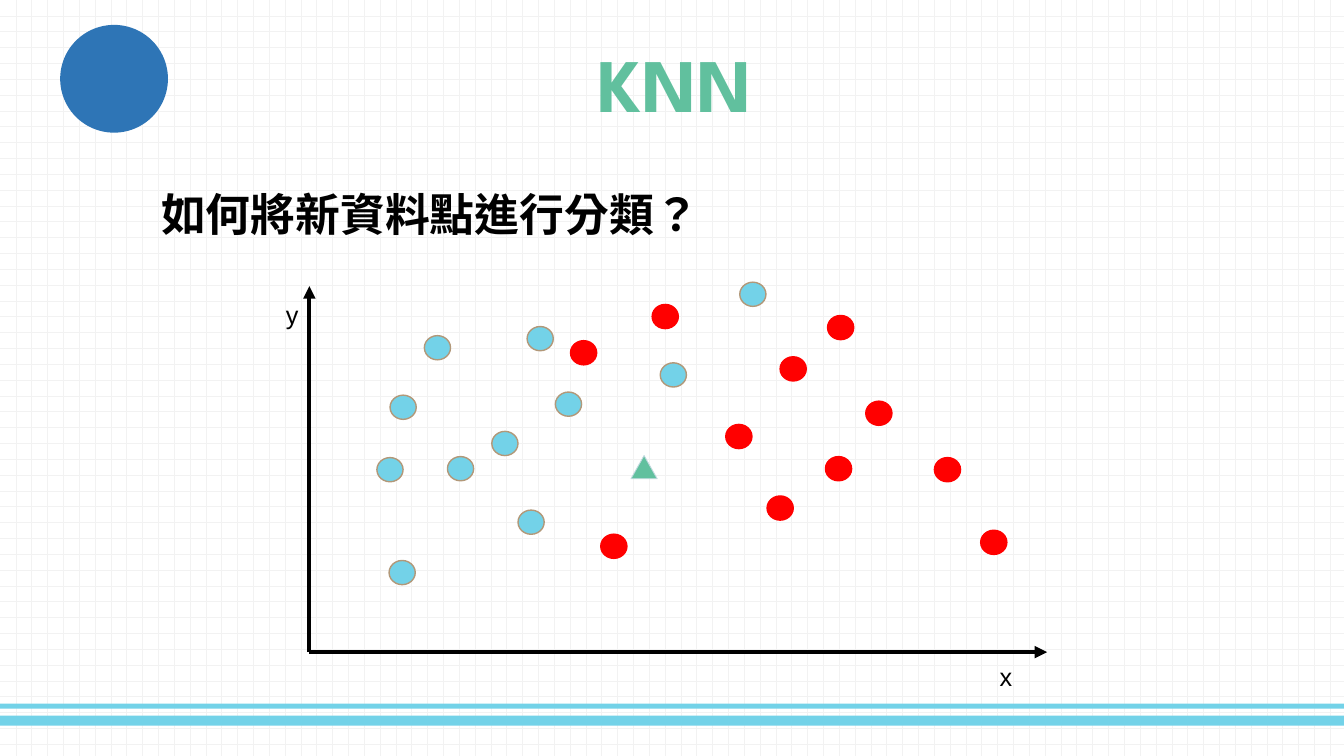
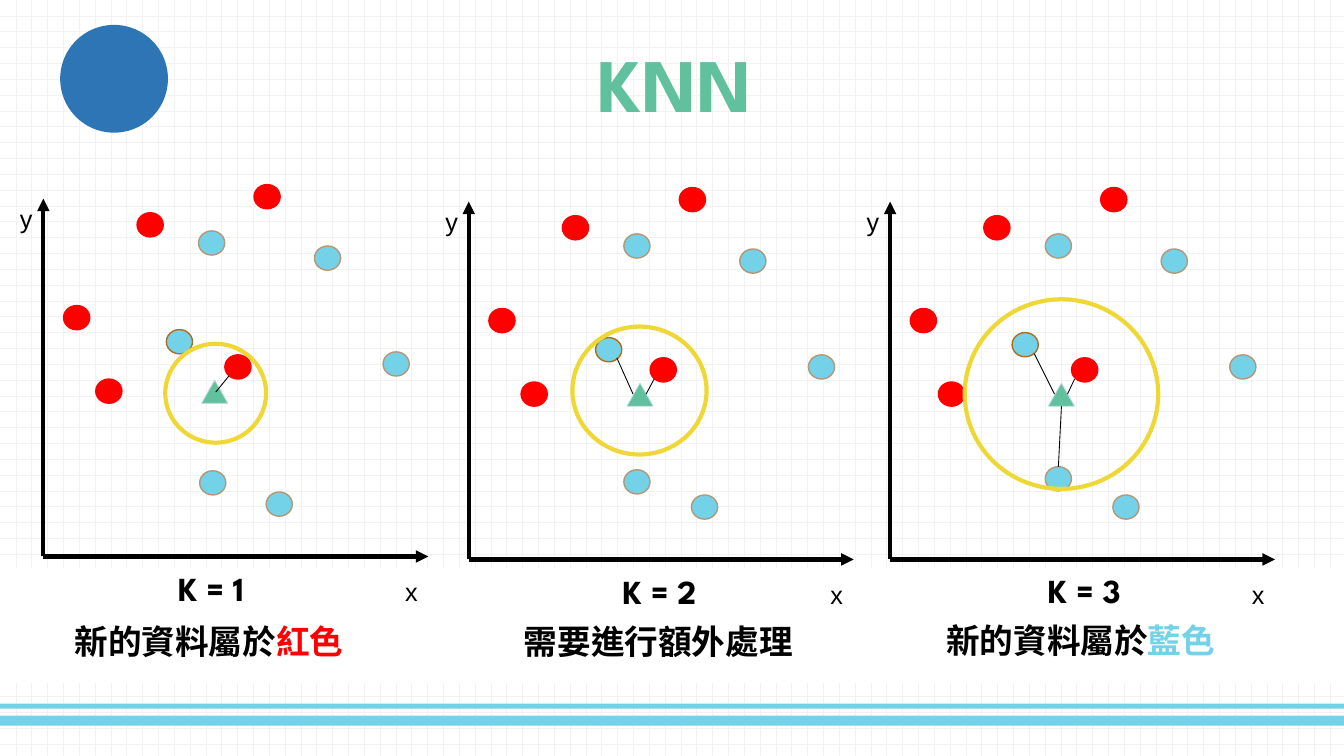
"""Build two slides explaining KNN classification with scatter sketches."""
import lxml.etree
import pptx
import pptx.dml.color
import pptx.enum.dml
import pptx.enum.lang
import pptx.enum.shapes
import pptx.enum.text
import pptx.oxml.ns
import pptx.util

Pt = pptx.util.Pt
qn = pptx.oxml.ns.qn
SHAPE = pptx.enum.shapes.MSO_SHAPE
PP_ALIGN = pptx.enum.text.PP_ALIGN

COLORS = {
    "paper": "FFFFFF", "grid": "F2F2F2", "ink": "000000", "title": "61C09E",
    "blue": "73D2E8", "blue edge": "B29879", "near edge": "AD6D1C",
    "red": "FF0000", "query edge": "C1D9DF", "ring": "EFD836",
    "corner": "2E75B6",
}
DISPLAY, CHINESE, LABEL = "League Spartan", "Noto Sans CJK SC", "Arial"
SLIDE_W, SLIDE_H = 960, 540
DOT = (18.72, 17.28)
QUERY = (18.72, 16.56)
DOT_EDGES = {"blue": ("blue", "blue edge"), "near": ("blue", "near edge"),
             "red": ("red", "red")}

SCATTER = {
    "blue": [(385.9, 241.9), (278.6, 335.5), (329, 334.8), (312.5, 248.4),
             (406.1, 288.7), (360.7, 316.8), (288, 290.9), (287.3, 409),
             (379.4, 373), (481, 267.8), (537.8, 210.2)],
    "red": [(557.3, 362.9), (566.6, 263.5), (627.8, 295.2), (676.8, 335.5),
            (599, 334.8), (709.9, 387.4), (475.2, 226.1), (600.5, 234),
            (527.8, 311.8), (416.9, 252), (438.5, 390.2)],
}
PANEL_DOTS = {
    "blue": [(252, -137.5), (120.2, -223.9), (203, -213.1), (168.5, -37.4)],
    "red": [(159.8, -257), (139, -135.4), (23.8, -170.6), (76.3, -236.9)],
}
PANEL_QUERY = (122.4, -117.7)
PANELS = [
    {"origin": (31, 397.5), "name": "K = 1", "name_at": (89.3, 4.3),
     "verdict": [("新的資料屬於", "ink"), ("紅色", "red")],
     "verdict_at": (15.1, 42.4),
     "dots": {"red": [(46.8, -118.1)], "blue": [(121, -52.6)],
              "near": [(97.2, -153.4)]},
     "ring": ((123.1, -116.6), (72, 70.6)),
     "links": [((123.1, -117.4), (132.5, -128.9))]},
    {"origin": (334.8, 399.6), "name": "K = 2", "name_at": (103, 5),
     "verdict": [("需要進行額外處理", "ink")],
     "verdict_at": (32.4, 40.3),
     "dots": {"red": [(46.8, -118.1)], "blue": [(120.2, -55.4)],
              "near": [(100, -149.8)]},
     "ring": ((122, -120.6), (95.8, 91.4)),
     "links": [((105.8, -144), (117.4, -118.1)),
               ((126.7, -118.1), (132.5, -128.9))]},
    {"origin": (635.8, 399.6), "name": "K = 3", "name_at": (105.8, 3.6),
     "verdict": [("新的資料屬於", "ink"), ("藍色", "blue")],
     "verdict_at": (33.1, 39.6),
     "dots": {"red": [(43.9, -118.1)], "blue": [(120.2, -57.6)],
              "near": [(96.5, -153.4)]},
     "ring": ((122.4, -118.1), (138.2, 135.4)),
     "links": [((103, -146.9), (117.4, -118.1)),
               ((120.2, -66.2), (122.4, -109.4)),
               ((131.8, -128.9), (126.7, -118.1))]},
]


def rgb(color):
    """Return the named colour."""
    return pptx.dml.color.RGBColor.from_string(COLORS[color])


def shift(origin, offset):
    """Return a point moved from the origin by the offset."""
    return origin[0] + offset[0], origin[1] + offset[1]


def paint(shape, fill=None, edge=None, weight=1):
    """Set fill and outline of a shape, without a shadow."""
    shape.shadow.inherit = False
    if fill:
        shape.fill.solid()
        shape.fill.fore_color.rgb = rgb(fill)
    else:
        shape.fill.background()
    if edge:
        shape.line.color.rgb = rgb(edge)
        shape.line.width = Pt(weight)
    else:
        shape.line.fill.background()


def add_bar(slide, top, height, fill):
    """Add a full-width bar."""
    bar = slide.shapes.add_shape(SHAPE.RECTANGLE, 0, Pt(top), Pt(SLIDE_W), Pt(height))
    paint(bar, fill)


def add_mark(slide, kind, center, size, fill=None, edge=None, weight=1):
    """Add a shape around a centre point."""
    left, top = center[0] - size[0] / 2, center[1] - size[1] / 2
    mark = slide.shapes.add_shape(kind, Pt(left), Pt(top), Pt(size[0]), Pt(size[1]))
    paint(mark, fill, edge, weight)


def add_dots(slide, groups, origin=(0, 0)):
    """Add the data points of every class."""
    for group, centers in groups.items():
        for center in centers:
            add_mark(slide, SHAPE.OVAL, shift(origin, center), DOT, *DOT_EDGES[group])


def add_query(slide, center):
    """Add the triangle that stands for the new data point."""
    add_mark(slide, SHAPE.ISOSCELES_TRIANGLE, center, QUERY, "title", "query edge", 0.63)


def add_line(slide, start, end, weight=0.63, arrow=False):
    """Add a straight line, with an arrowhead at its end if asked."""
    line = slide.shapes.add_connector(
        pptx.enum.shapes.MSO_CONNECTOR.STRAIGHT, *(Pt(v) for v in (*start, *end)))
    line.line.color.rgb = rgb("ink")
    line.line.width = Pt(weight)
    properties = line.element.spPr
    if arrow:
        lxml.etree.SubElement(properties.find(qn("a:ln")), qn("a:tailEnd"), type="triangle")
    lxml.etree.SubElement(properties, qn("a:effectLst"))


def add_runs(paragraph, runs, font, size, bold):
    """Add runs of (text, colour) in one font."""
    for words, color in runs:
        run = paragraph.add_run()
        run.text = words
        run.font.size = Pt(size)
        run.font.bold = bold
        run.font.color.rgb = rgb(color)
        run.font.name = font
        if font == CHINESE:
            run.font.language_id = pptx.enum.lang.MSO_LANGUAGE_ID.TRADITIONAL_CHINESE
        lxml.etree.SubElement(run.font._element, qn("a:ea"), typeface=font)


def add_text(slide, at, size, runs, font, points, bold=True, wrap=True):
    """Add a text box and return its paragraph."""
    box = slide.shapes.add_textbox(*(Pt(v) for v in (*at, *size)))
    box.text_frame.word_wrap = wrap
    paragraph = box.text_frame.paragraphs[0]
    add_runs(paragraph, runs, font, points, bold)
    return paragraph


def add_axes(slide, origin, width, height, x_label):
    """Add both axes with their labels."""
    add_line(slide, origin, shift(origin, (0, -height)), weight=3, arrow=True)
    add_line(slide, origin, shift(origin, (width, 0)), weight=3, arrow=True)
    for name, offset in (("y", (-23.8, -255.6)), ("x", x_label)):
        add_text(slide, shift(origin, offset), (23.8, 28.8), [(name, "ink")],
                 LABEL, 18, bold=False, wrap=False)


def add_slide(deck):
    """Add a slide with title, corner disc and bottom bands."""
    slide = deck.slides.add_slide(deck.slide_layouts[5])
    for top, height in ((511.2, 7.2), (502.6, 3.6)):
        add_bar(slide, top, height, "blue")
    title = slide.shapes.title
    title.left, title.top, title.width, title.height = Pt(68.4), Pt(33), Pt(828), Pt(51)
    frame = title.text_frame
    frame.auto_size = pptx.enum.text.MSO_AUTO_SIZE.NONE
    frame.vertical_anchor = pptx.enum.text.MSO_ANCHOR.MIDDLE
    frame.paragraphs[0].alignment = PP_ALIGN.CENTER
    add_runs(frame.paragraphs[0], [("KNN", "title")], DISPLAY, 54, True)
    add_mark(slide, SHAPE.OVAL, (81.5, 56.3), (77, 77), "corner")
    return slide


def add_panel(slide, panel):
    """Add one neighbourhood sketch with its verdict."""
    origin = panel["origin"]
    add_axes(slide, origin, 275, 255.6, (251.3, 10.8))
    add_dots(slide, PANEL_DOTS, origin)
    add_dots(slide, panel["dots"], origin)
    add_query(slide, shift(origin, PANEL_QUERY))
    center, size = panel["ring"]
    add_mark(slide, SHAPE.OVAL, shift(origin, center), size, edge="ring", weight=3)
    for start, end in panel["links"]:
        add_line(slide, shift(origin, start), shift(origin, end))
    add_text(slide, shift(origin, panel["name_at"]), (103, 36),
             [(panel["name"], "ink")], DISPLAY, 24)
    add_text(slide, shift(origin, panel["verdict_at"]), (248.4, 36),
             panel["verdict"], CHINESE, 24)


def add_question_slide(deck):
    """Add the slide that asks how to classify the new point."""
    slide = add_slide(deck)
    question = add_text(slide, (108, 110.9), (448.6, 65.5),
                        [("如何將新資料點進行分類？", "ink")], CHINESE, 32)
    question.line_spacing = 1.5
    question.space_after = Pt(24)
    add_axes(slide, (221, 465.8), 527, 261.4, (486, 2.9))
    add_dots(slide, SCATTER)
    add_query(slide, (460.1, 333.7))


def add_comparison_slide(deck):
    """Add the slide that compares three values of K."""
    slide = add_slide(deck)
    add_bar(slide, 406, 82, "paper")
    for panel in PANELS:
        add_panel(slide, panel)


def main():
    """Build and save the deck."""
    deck = pptx.Presentation()
    deck.slide_width, deck.slide_height = Pt(SLIDE_W), Pt(SLIDE_H)
    backdrop = deck.slide_master.background.fill
    backdrop.patterned()
    backdrop.pattern = pptx.enum.dml.MSO_PATTERN.DOTTED_GRID
    backdrop.fore_color.rgb = rgb("grid")
    backdrop.back_color.rgb = rgb("paper")
    add_question_slide(deck)
    add_comparison_slide(deck)
    deck.save("out.pptx")


if __name__ == "__main__":
    main()
